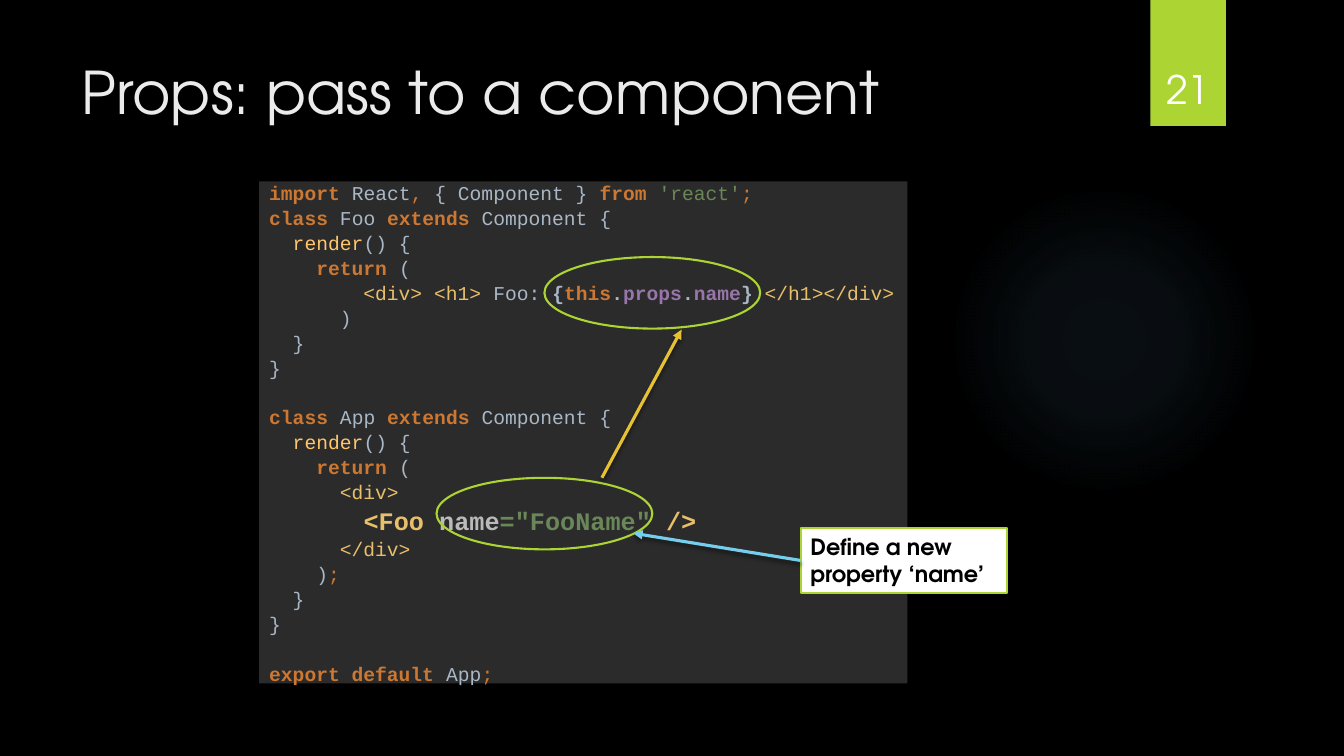
from dataclasses import dataclass

from lxml.etree import SubElement
from pptx import Presentation
from pptx.dml.color import RGBColor
from pptx.enum.shapes import MSO_CONNECTOR as Connector, MSO_SHAPE as Shape
from pptx.enum.text import MSO_ANCHOR as Anchor, MSO_AUTO_SIZE as AutoSize, PP_ALIGN as Align
from pptx.oxml.ns import qn
from pptx.util import Inches, Pt

CELL = Inches(0.1)  # side of one grid square


@dataclass(frozen=True)
class Theme:
    sans: str = "TeX Gyre Adventor"
    mono: str = "Courier New"
    background: str = "000000"
    title: str = "EBEBEB"
    accent: str = "ACD433"
    glow: str = "7AC4F0"
    panel: str = "2B2B2B"
    white: str = "FFFFFF"
    black: str = "000000"
    gold: str = "E6C133"
    sky: str = "75CEEC"
    title_size: int = 42
    number_size: int = 28
    note_size: int = 16
    code_size: int = 14
    focus_size: int = 18
    outline: float = 1.5
    arrow: float = 2.25


THEME = Theme()


@dataclass(frozen=True)
class Box:
    """Left, top, width and height in grid cells."""
    left: float
    top: float
    width: float
    height: float

    def inner(self, left, top, width, height):
        return Box(self.left + left, self.top + top, width, height)

    def point(self, across, down):
        return self.left + across, self.top + down

    def lengths(self):
        return [int(n * CELL) for n in (self.left, self.top, self.width, self.height)]


CODE_STYLES = {
    "keyword": {"color": "CC7832", "bold": True},
    "mark": {"color": "CC7832"},
    "plain": {"color": "A9B7C6"},
    "strong": {"color": "A9B7C6", "bold": True},
    "string": {"color": "6A8759"},
    "method": {"color": "FFC66D"},
    "tag": {"color": "E8BF6A"},
    "member": {"color": "9876AA", "bold": True},
    "focus tag": {"color": "E8BF6A", "bold": True, "size": THEME.focus_size},
    "focus name": {"color": "BABABA", "bold": True, "size": THEME.focus_size},
    "focus string": {"color": "6A8759", "bold": True, "size": THEME.focus_size},
}


def class_opening(name):
    return [
        [("keyword", "class "), ("plain", f"{name} "), ("keyword", "extends "),
         ("plain", "Component {")],
        [("method", "  render"), ("plain", "() {")],
        [("keyword", "    return "), ("plain", "(")],
    ]


CLASS_END = [[("plain", "  }")], [("plain", "}")], []]
CODE = [
    [("keyword", "import "), ("plain", "React"), ("mark", ", "), ("plain", "{ Component } "),
     ("keyword", "from "), ("string", "'react'"), ("mark", ";")],
    *class_opening("Foo"),
    [("tag", "        <div> <h1> "), ("plain", "Foo: "), ("strong", "{"), ("keyword", "this"),
     ("strong", "."), ("member", "props"), ("strong", "."), ("member", "name"),
     ("strong", "} "), ("tag", "</h1></div>")],
    [("plain", "      )")],
    *CLASS_END,
    *class_opening("App"),
    [("tag", "      <div>")],
    [("tag", "        "), ("focus tag", "<Foo "), ("focus name", "name"),
     ("focus string", '="FooName" '), ("focus tag", "/>")],
    [("tag", "      </div>")],
    [("plain", "    )"), ("mark", ";")],
    *CLASS_END,
    [("keyword", "export default "), ("plain", "App"), ("mark", ";")],
]


def format_run(run, color, size, name=THEME.sans, bold=False):
    for key, value in {"size": Pt(size), "name": name, "bold": bold}.items():
        setattr(run.font, key, value)
    run.font.color.rgb = RGBColor.from_string(color)


def set_values(target, **values):
    for key, value in values.items():
        setattr(target, key, value)


def place(shape, box):
    for key, value in zip(("left", "top", "width", "height"), box.lengths()):
        setattr(shape, key, value)


def fill_with(shape, color):
    shape.fill.solid()
    shape.fill.fore_color.rgb = RGBColor.from_string(color)


def add_alpha_color(parent, color, percent):
    node = SubElement(parent, qn("a:srgbClr"), val=color)
    SubElement(node, qn("a:alpha"), val=str(percent * 1000))


def add_shadow(shape):
    properties = shape._element.spPr
    for effects in properties.findall(qn("a:effectLst")):
        properties.remove(effects)
    effects = SubElement(properties, qn("a:effectLst"))
    shadow = SubElement(effects, qn("a:outerShdw"), blurRad=str(Pt(3)), dist=str(Pt(2)),
                        dir="5400000", rotWithShape="0")
    add_alpha_color(shadow, THEME.black, 45)


def add_panel(slide, kind, box, fill=None, line=None):
    shape = slide.shapes.add_shape(kind, *box.lengths())
    shape.shadow.inherit = False
    if fill:
        fill_with(shape, fill)
    else:
        shape.fill.background()
    if line:
        shape.line.color.rgb = RGBColor.from_string(line)
        shape.line.width = Pt(THEME.outline)
    else:
        shape.line.fill.background()
    return shape


def add_arrow(slide, start, end, color):
    ends = [int(n * CELL) for n in (*start, *end)]
    arrow = slide.shapes.add_connector(Connector.STRAIGHT, *ends)
    arrow.line.color.rgb = RGBColor.from_string(color)
    arrow.line.width = Pt(THEME.arrow)
    SubElement(arrow._element.spPr.find(qn("a:ln")), qn("a:tailEnd"), type="triangle")
    add_shadow(arrow)


def add_glow(slide, box):
    glow = add_panel(slide, Shape.OVAL, box)
    glow.fill.gradient()
    gradient = glow._element.spPr.find(qn("a:gradFill"))
    for child in list(gradient):
        gradient.remove(child)
    stops = SubElement(gradient, qn("a:gsLst"))
    for position, alpha in ((0, 7), (36, 6), (69, 0)):
        stop = SubElement(stops, qn("a:gs"), pos=str(position * 1000))
        add_alpha_color(stop, THEME.glow, alpha)
    circle = SubElement(gradient, qn("a:path"), {"path": "circle"})
    SubElement(circle, qn("a:fillToRect"), l="50000", t="50000", r="50000", b="50000")


def add_page_tab(slide, box, number):
    add_shadow(add_panel(slide, Shape.RECTANGLE, box, THEME.accent))
    label = slide.shapes.add_textbox(*box.inner(-0.9, 3.2, 9.2, 8.4).lengths())
    set_values(label.text_frame, word_wrap=True, vertical_anchor=Anchor.BOTTOM)
    para = label.text_frame.paragraphs[0]
    para.alignment = Align.CENTER
    run = para.add_run()
    run.text = number
    format_run(run, THEME.white, THEME.number_size)


def set_title(slide, box, text):
    title = slide.shapes.title
    place(title, box)
    set_values(title.text_frame, word_wrap=True, vertical_anchor=Anchor.TOP,
               auto_size=AutoSize.NONE)
    para = title.text_frame.paragraphs[0]
    para.alignment = Align.LEFT
    run = para.add_run()
    run.text = text
    format_run(run, THEME.title, THEME.title_size)


def set_code(slide, box):
    body = slide.placeholders[1]
    place(body, box)
    fill_with(body, THEME.panel)
    set_values(body.text_frame, word_wrap=False, vertical_anchor=Anchor.MIDDLE,
               auto_size=AutoSize.NONE)
    para = body.text_frame.paragraphs[0]
    set_values(para, alignment=Align.LEFT, space_before=Pt(0), line_spacing=1.06)
    properties = para._p.get_or_add_pPr()
    for key in ("marL", "indent"):
        properties.set(key, "0")
    SubElement(properties, qn("a:buNone"))
    for index, line in enumerate(CODE):
        if index:
            para.add_line_break()
        for style, text in line:
            run = para.add_run()
            run.text = text
            format_run(run, **{"size": THEME.code_size, "name": THEME.mono, **CODE_STYLES[style]})
    for line_break in para._p.findall(qn("a:br")):
        font = SubElement(line_break, qn("a:rPr"), sz=str(THEME.code_size * 100))
        SubElement(font, qn("a:latin"), typeface=THEME.mono)


def add_callouts(slide, code):
    for left, top in ((28.3, 7.5), (17.6, 29.4)):
        add_panel(slide, Shape.OVAL, code.inner(left, top, 21.4, 7.1), line=THEME.accent)
    add_arrow(slide, code.point(34, 29.4), code.point(41.9, 14.7), THEME.gold)
    note = add_panel(slide, Shape.RECTANGLE, code.inner(53.7, 34.4, 20.5, 6.4),
                     THEME.white, THEME.accent)
    set_values(note.text_frame, word_wrap=True, vertical_anchor=Anchor.TOP)
    para = note.text_frame.paragraphs[0]
    para.alignment = Align.LEFT
    run = para.add_run()
    run.text = "Define a new property ‘name’"
    format_run(run, THEME.black, THEME.note_size, bold=True)
    add_arrow(slide, code.point(53.7, 37.6), code.point(37.1, 34.9), THEME.sky)


def main():
    deck = Presentation()
    deck.slide_width, deck.slide_height = Inches(13.33), Inches(7.5)
    slide = deck.slides.add_slide(deck.slide_layouts[1])
    fill_with(slide.background, THEME.background)
    code = Box(25.7, 18, 64.3, 49.8)
    add_glow(slide, Box(94.1, 18.3, 30.8, 30.8))
    add_page_tab(slide, Box(114.1, 0, 7.5, 12.5), "21")
    set_title(slide, Box(7.1, 5, 102.9, 15.3), "Props: pass to a component")
    set_code(slide, code)
    add_callouts(slide, code)
    deck.save("out.pptx")


if __name__ == "__main__":
    main()
